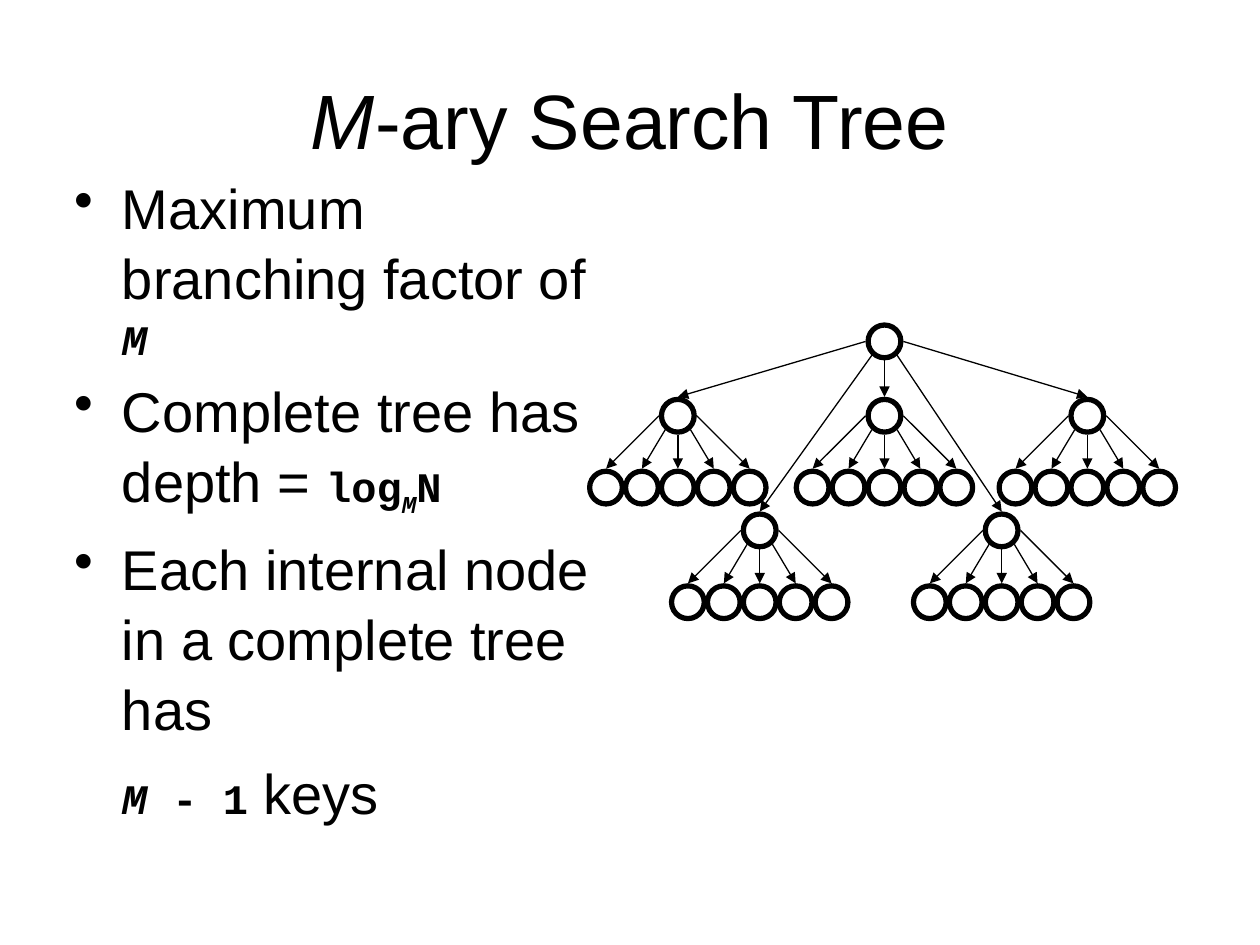
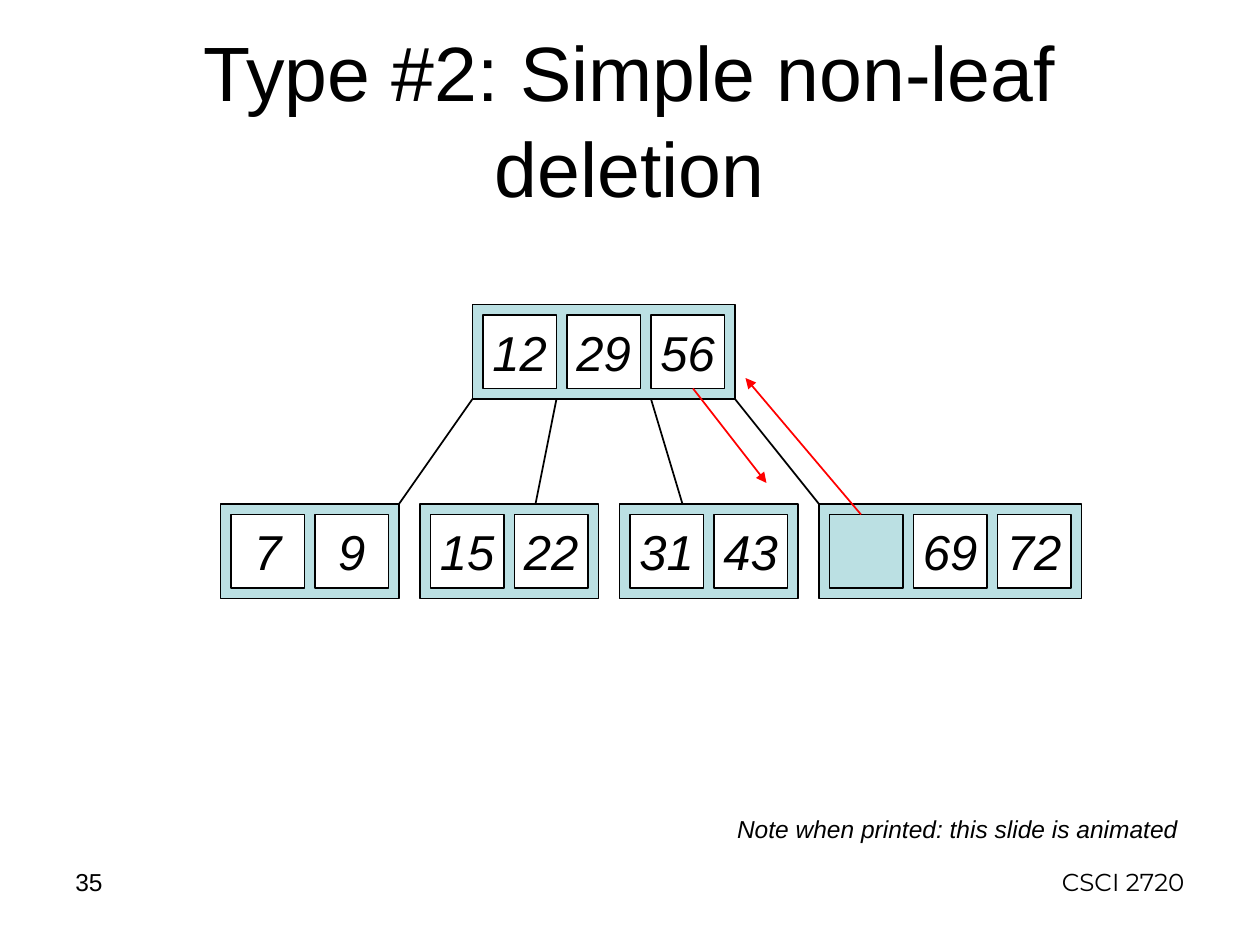
import pptx
import pptx.util
import pptx.dml.color
import pptx.enum.shapes
import pptx.enum.text
import pptx.oxml.ns
from lxml import etree

Inches = pptx.util.Inches
Pt = pptx.util.Pt
ALIGN = pptx.enum.text.PP_ALIGN
ANCHOR = pptx.enum.text.MSO_ANCHOR
SHAPES = pptx.enum.shapes.MSO_SHAPE
qn = pptx.oxml.ns.qn


def color(hex_code):
    return pptx.dml.color.RGBColor.from_string(hex_code)


def add_run(paragraph, text, size=14, font="Arial", ink="000000",
            bold=False, italic=False, baseline=None):
    """Append formatted text to a paragraph."""
    run = paragraph.add_run()
    run.text = text
    run.font.size = Pt(size)
    run.font.name = font
    run.font.color.rgb = color(ink)
    run.font.bold = bold
    run.font.italic = italic
    if baseline is not None:
        run.font._element.set("baseline", str(baseline * 1000))


class Deck:
    BLACK, WHITE, RED, NODE_BLUE = "000000", "FFFFFF", "FF0000", "BBE0E3"
    LINE_SPACING = 1.04
    CODE = dict(size=24, font="Courier New", bold=True)
    BODY = dict(size=32)

    def __init__(self):
        self.presentation = pptx.Presentation()
        self.presentation.slide_width = Inches(10)
        self.presentation.slide_height = Inches(7.5)
        self.slide = None

    def new_slide(self, *title_runs):
        self.slide = self.presentation.slides.add_slide(
            self.presentation.slide_layouts[6])
        title = self.text_box(0.5, 0.3, 9, 1.25, title_runs, align=ALIGN.CENTER,
                              anchor=ANCHOR.MIDDLE, size=44)
        title.paragraphs[0].line_spacing = self.LINE_SPACING

    def text_box(self, left, top, width, height, runs=(), align=ALIGN.LEFT,
                 anchor=ANCHOR.TOP, wrap=True, **style):
        """Add a text box; each run is a (text, own format) pair."""
        frame = self.slide.shapes.add_textbox(
            Inches(left), Inches(top), Inches(width), Inches(height)).text_frame
        frame.word_wrap = wrap
        frame.vertical_anchor = anchor
        frame.paragraphs[0].alignment = align
        for text, own in runs:
            add_run(frame.paragraphs[0], text, **{**style, **own})
        return frame

    def bullets(self, left, top, width, height, items):
        """Each item is (bulleted, space before, runs)."""
        frame = self.text_box(left, top, width, height)
        for index, (bulleted, before, runs) in enumerate(items):
            paragraph = frame.add_paragraph() if index else frame.paragraphs[0]
            properties = paragraph._p.get_or_add_pPr()
            properties.set("marL", str(Inches(0.38)))
            properties.set("indent", str(-Inches(0.38) if bulleted else 0))
            if bulleted:
                etree.SubElement(properties, qn("a:buChar")).set("char", "•")
            paragraph.line_spacing = self.LINE_SPACING
            if index:
                paragraph.space_before = Pt(before)
            for text, style in runs:
                add_run(paragraph, text, **style)

    def shape(self, kind, left, top, width, height, fill=None, weight=1):
        shape = self.slide.shapes.add_shape(
            kind, Inches(left), Inches(top), Inches(width), Inches(height))
        shape.shadow.inherit = False
        if fill:
            shape.fill.solid()
            shape.fill.fore_color.rgb = color(fill)
        else:
            shape.fill.background()
        shape.line.color.rgb = color(self.BLACK)
        shape.line.width = Pt(weight)
        return shape

    def line(self, start, end, ink=BLACK, weight=1, arrow=False):
        connector = self.slide.shapes.add_connector(
            pptx.enum.shapes.MSO_CONNECTOR.STRAIGHT,
            *(Inches(value) for value in (*start, *end)))
        connector.line.color.rgb = color(ink)
        connector.line.width = Pt(weight)
        if arrow:
            tail = etree.SubElement(connector.line._get_or_add_ln(), qn("a:tailEnd"))
            tail.set("type", "triangle")
        etree.SubElement(connector._element.spPr, qn("a:effectLst"))

    # Search tree of circles
    def circle(self, x, y):
        self.shape(SHAPES.OVAL, x - 0.13, y - 0.13, 0.26, 0.26, weight=3)

    def fan(self, x, y, children):
        """Draw a parent circle with arrows to its five children."""
        self.circle(x, y)
        exits = [(-0.15, 0), (-0.1, 0.11), (0, 0.15), (0.1, 0.11), (0.15, 0)]
        for (dx, dy), (child_x, child_y) in zip(exits, children):
            self.line((x + dx, y + dy), (child_x, child_y - 0.15),
                      weight=0.75, arrow=True)

    # B-tree nodes, measured in twelfths of an inch
    def key_cell(self, left, top, key):
        cell = self.shape(SHAPES.RECTANGLE, left / 12, top / 12, 7 / 12, 7 / 12,
                          fill=self.WHITE if key else self.NODE_BLUE)
        if key:
            frame = cell.text_frame
            frame.word_wrap = False
            frame.vertical_anchor = ANCHOR.MIDDLE
            frame.paragraphs[0].alignment = ALIGN.CENTER
            add_run(frame.paragraphs[0], key, size=28, italic=True)

    def tree_node(self, left, top, keys):
        """Draw a node and return its right edge."""
        width = 8 * len(keys) + 1
        self.shape(SHAPES.RECTANGLE, left / 12, top / 12, width / 12, 9 / 12,
                   fill=self.NODE_BLUE)
        for index, key in enumerate(keys):
            self.key_cell(left + 1 + 8 * index, top + 1, key)
        return left + width

    def tree_line(self, start, end, **style):
        self.line([value / 12 for value in start],
                  [value / 12 for value in end], **style)


def search_tree_slide(deck):
    deck.new_slide(("M", dict(italic=True)), ("-ary Search Tree", {}))
    body, code = deck.BODY, deck.CODE
    variable = dict(code, italic=True)
    deck.bullets(0.49, 1.31, 4.34, 5.89, [
        (True, 0, [("Maximum branching factor of ", body), ("M", variable)]),
        (True, 6, [("Complete tree has depth = ", body), ("log", code),
                   ("M", dict(variable, baseline=-25)), ("N", code)]),
        (True, 8, [("Each internal node in a complete tree has", body)]),
        (False, 8, [("M ", variable), ("- 1", code), (" keys", body)]),
    ])

    # Five subtrees, left to right in the order of the root's arrows
    subtrees = [(5.38, 3.3), (6.03, 4.21), (7.02, 3.3), (7.95, 4.21), (8.63, 3.3)]
    for x, y in subtrees:
        leaves = [(x + 0.285 * step, y + 0.57) for step in range(-2, 3)]
        deck.fan(x, y, leaves)
        for leaf in leaves:
            deck.circle(*leaf)
    deck.fan(7.02, 2.71, subtrees)


def deletion_slide(deck):
    deck.new_slide(("Type #2: Simple non-leaf deletion", {}))

    # Root and leaves
    deck.tree_node(45, 29, ["12", "29", "56"])
    leaf_left = 21
    for keys in (["7", "9"], ["15", "22"], ["31", "43"], ["", "69", "72"]):
        leaf_left = deck.tree_node(leaf_left, 48, keys) + 2
    for root_x, leaf_x in ((45, 38), (53, 51), (62, 65), (70, 78)):
        deck.tree_line((root_x, 38), (leaf_x, 48))

    # Key 56 leaves the root, its replacement moves up
    for start, end in (((66, 37), (73, 46)), ((82, 49), (71, 36))):
        deck.tree_line(start, end, ink=deck.RED, arrow=True)

    # Note and footer
    deck.text_box(5.75, 6.41, 3.7, 0.34,
                  [("Note when printed: this slide is animated", {})],
                  align=ALIGN.CENTER, anchor=ANCHOR.MIDDLE, wrap=False, italic=True)
    deck.text_box(0.5, 6.83, 2.33, 0.52, [("35", {})])
    deck.text_box(7.17, 6.83, 2.33, 0.5, [("CSCI 2720", {})],
                  align=ALIGN.RIGHT, font="Montserrat")


def main():
    deck = Deck()
    search_tree_slide(deck)
    deletion_slide(deck)
    deck.presentation.save("out.pptx")


if __name__ == "__main__":
    main()
